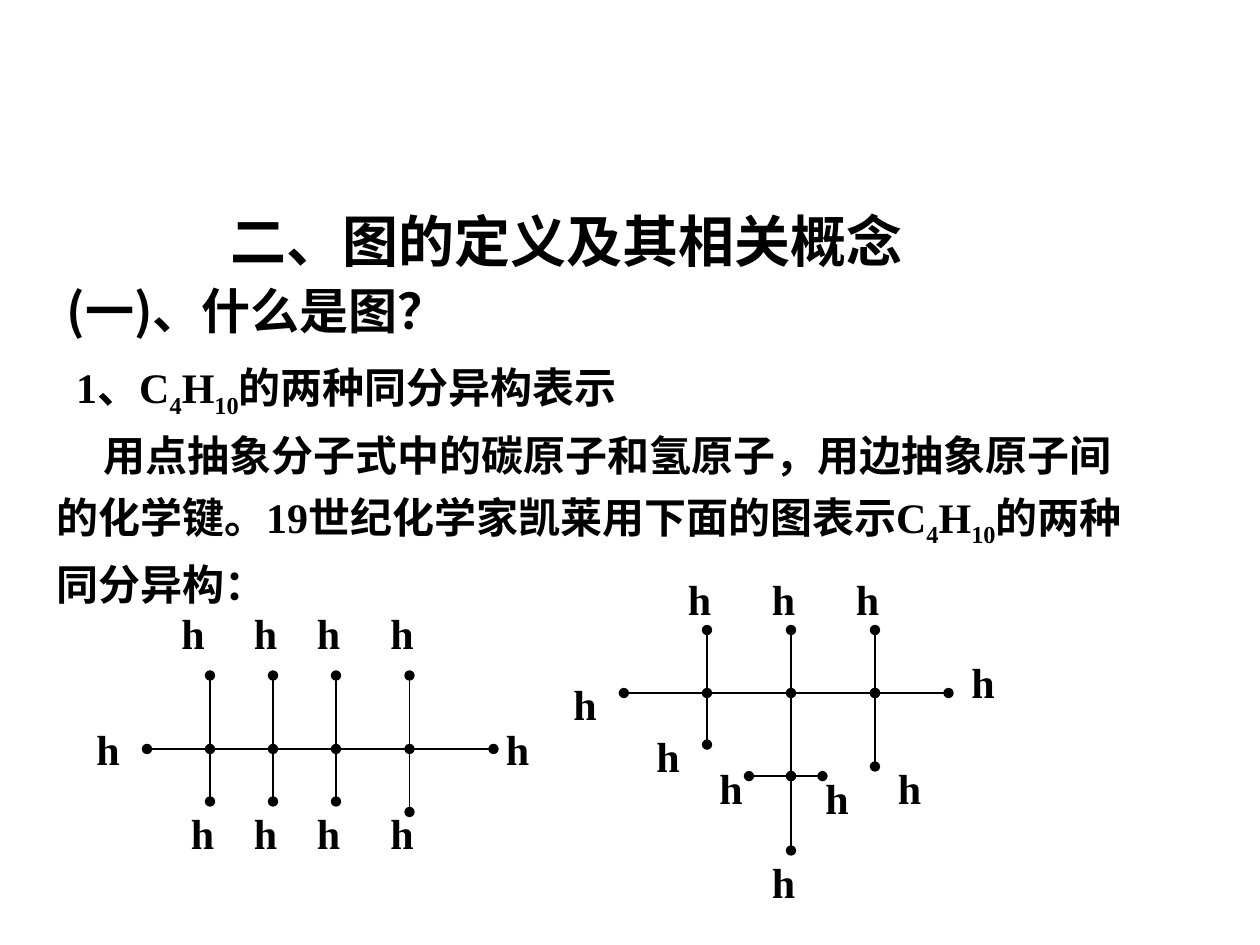
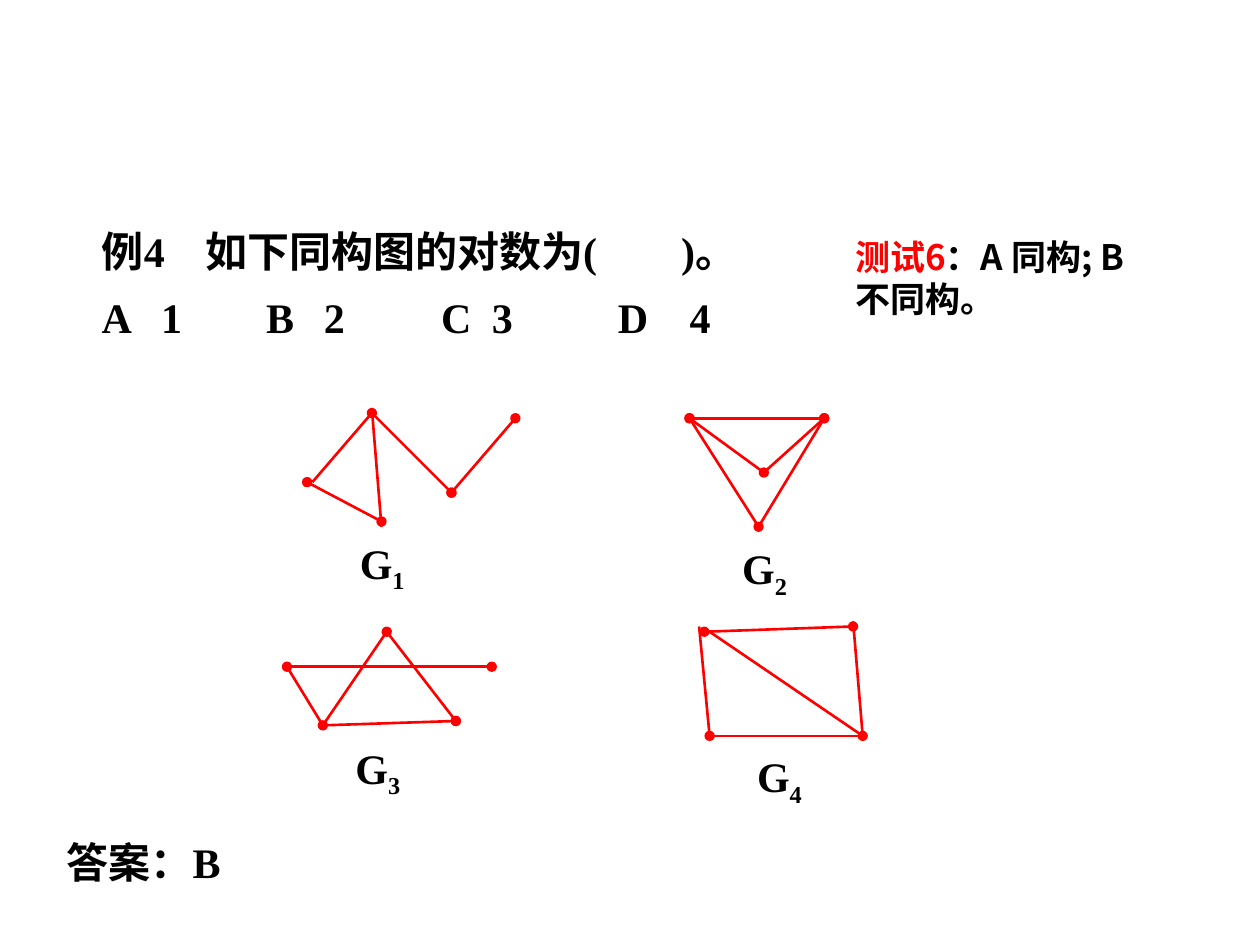
from pptx import Presentation
from pptx.dml.color import RGBColor
from pptx.enum.shapes import MSO_CONNECTOR
from pptx.enum.text import MSO_ANCHOR, MSO_AUTO_SIZE, PP_ALIGN
from pptx.oxml.ns import qn
from pptx.util import Pt
from lxml.etree import SubElement

BLACK = RGBColor(0, 0, 0)
RED = RGBColor(255, 0, 0)
SERIF, SANS = "Times New Roman", "Noto Sans CJK SC"
BODY = 24
LOOSE = 1.2

# Text between underscores is set as a subscript.
TITLE = "二、图的定义及其相关概念"
HEAD = "(一)、什么是图？"
TOPIC = "1、C_4_H_10_的两种同分异构表示"
LINES = [
    "用点抽象分子式中的碳原子和氢原子，用边抽象原子间",
    "的化学键。19世纪化学家凯莱用下面的图表示C_4_H_10_的两种",
    "同分异构：",
]
ASK = "例4\t如下同构图的对数为(\t)。"
ASK_TABS = [59, 331]
PICKS = "A\t1\tB\t2\tC\t3\tD\t4"
PICK_TABS = [34, 94, 127, 194, 223, 295, 336]
REPLY = "答案：B"
QUIZ = "测试6", "：A 同构; B 不同构。"

# Bonds are x1, y1, x2, y2; "dots" have round ends and "bare" have none.
AXIS, TOP = 428, 386
CHAIN = {
    "dots": [(84, AXIS, 120, AXIS), (156, AXIS, 192, AXIS), (234, AXIS, 282, AXIS)]
    + [(x, TOP, x, 458) for x in (120, 156, 192)] + [(234, TOP, 234, 464)],
    "bare": [(120, AXIS, 156, AXIS), (192, AXIS, 234, AXIS)],
    "atoms": [(x, 343.5) for x in (96.5, 138, 174, 216)]
    + [(x, 458) for x in (102, 138, 174, 216)] + [(48, 410), (282, 410)],
}
BRANCH = {
    "dots": [(356.5, 396, 404, 396), (452, 396, 500, 396), (500, 396, 542, 396),
             (404, 360, 404, 425.5), (452, 360, 452, 443.5), (500, 360, 500, 438),
             (428, 443.5, 470, 443.5), (452, 443.5, 452, 486)],
    "bare": [(404, 396, 452, 396)],
    "atoms": [(x, 324) for x in (386, 434, 482)]
    + [(320.5, 384), (548, 371.5), (368, 414), (434, 486),
       (506, 432), (404, 432), (464.5, 438)],
}
GRAPHS = [
    {"name": "G_1", "at": (198.5, 303.5),
     "dots": [(175.5, 275.5, 218, 298), (212.5, 236, 258, 281.5), (258, 281.5, 294.5, 239)],
     "bare": [(212.5, 236, 178.5, 275.5), (212.5, 233.5, 218, 301)]},
    {"name": "G_2", "at": (417, 306.5),
     "dots": [(394, 239, 471, 239), (394, 239, 436.5, 270), (471, 239, 433.5, 301)],
     "bare": [(471, 239, 436.5, 270), (394, 239, 433.5, 301)]},
    {"name": "G_3", "at": (196, 420.5),
     "dots": [(221, 361, 260.5, 412), (184.5, 414.5, 260.5, 412), (164, 381, 281, 381)],
     "bare": [(221, 361, 184.5, 414.5), (184.5, 414.5, 164, 381)]},
    {"name": "G_4", "at": (425.5, 425.5),
     "dots": [(402.5, 361, 487.5, 358), (405.5, 420.5, 493, 420.5)],
     "bare": [(487.5, 355, 493, 420.5), (405.5, 361, 493, 420.5), (399.5, 358, 405.5, 420.5)]},
]


def style(run, size, face, color=BLACK, sub=False):
    font = run.font
    font.size, font.bold, font.name = Pt(size), True, face
    font.color.rgb = color
    props = run._r.get_or_add_rPr()
    SubElement(props, qn("a:ea"), typeface=SANS)
    if sub:
        props.set("baseline", "-25000")


def write(para, text, size=BODY, face=SERIF):
    for i, part in enumerate(text.split("_")):
        if part:
            run = para.add_run()
            run.text = part
            style(run, size, face, sub=i % 2 == 1)


def place(shape, x, y, w, h):
    shape.left, shape.top, shape.width, shape.height = map(Pt, (x, y, w, h))
    frame = shape.text_frame
    frame.word_wrap = True
    frame.auto_size = MSO_AUTO_SIZE.NONE
    frame.vertical_anchor = MSO_ANCHOR.TOP
    return frame.paragraphs[0]


def box(shapes, *area):
    return place(shapes.add_textbox(0, 0, 0, 0), *area)


def stops(para, places):
    tabs = SubElement(para._p.get_or_add_pPr(), qn("a:tabLst"))
    for pos in places:
        SubElement(tabs, qn("a:tab"), pos=str(Pt(pos)), algn="l")


def bond(shapes, ends, color, width, dots):
    line = shapes.add_connector(MSO_CONNECTOR.STRAIGHT, *map(Pt, ends))
    line.line.color.rgb, line.line.width = color, Pt(width)
    props = line._element.spPr
    if dots:
        for tag in ("a:headEnd", "a:tailEnd"):
            SubElement(props.find(qn("a:ln")), qn(tag), type="oval")
    SubElement(props, qn("a:effectLst"))


def draw(shapes, graph, color, width):
    for kind in ("dots", "bare"):
        for ends in graph[kind]:
            bond(shapes, ends, color, width, kind == "dots")


def isomers(deck):
    slide = deck.slides.add_slide(deck.slide_layouts[5])
    shapes = slide.shapes
    para = place(shapes.title, 60, 114.5, 528, 46)
    para.alignment = PP_ALIGN.CENTER
    write(para, TITLE, 32)
    write(box(shapes, 31, 157, 654, 41), HEAD, 28, SANS)
    para = box(shapes, 36.5, 196.5, 648, 47)
    para.line_spacing = LOOSE
    write(para, TOPIC)

    first = box(shapes, 25, 236, 648, 116)
    frame = first._parent
    for i, text in enumerate(LINES):
        para = frame.add_paragraph() if i else first
        para.line_spacing = LOOSE
        if i == 0:
            para._p.get_or_add_pPr().set("indent", str(Pt(27)))
        write(para, text)

    for graph in (CHAIN, BRANCH):
        group = shapes.add_group_shape().shapes
        draw(group, graph, BLACK, 0.75)
        for x, y in graph["atoms"]:
            write(box(group, x, y, 43, 36), "h")


def example(deck):
    slide = deck.slides.add_slide(deck.slide_layouts[5])
    shapes = slide.shapes
    ask = place(shapes.title, 51, 119.5, 425, 42)
    ask.alignment = PP_ALIGN.LEFT
    picks = box(shapes, 51, 157, 425, 42)
    reply = box(shapes, 31, 468.5, 648, 42)
    for para, text, tabs in ((ask, ASK, ASK_TABS), (picks, PICKS, PICK_TABS),
                             (reply, REPLY, [])):
        para.line_spacing = LOOSE
        if tabs:
            stops(para, tabs)
        write(para, text)

    for graph in GRAPHS:
        draw(shapes, graph, RED, 1.5)
        write(box(shapes, *graph["at"], 49, 40), graph["name"])

    para = box(shapes, 481.5, 131, 187, 55.5)
    for text, color in zip(QUIZ, (RED, BLACK)):
        run = para.add_run()
        run.text = text
        style(run, 20, SANS, color)


def main():
    deck = Presentation()
    deck.slide_width, deck.slide_height = Pt(720), Pt(540)
    isomers(deck)
    example(deck)
    deck.save("out.pptx")


if __name__ == "__main__":
    main()
